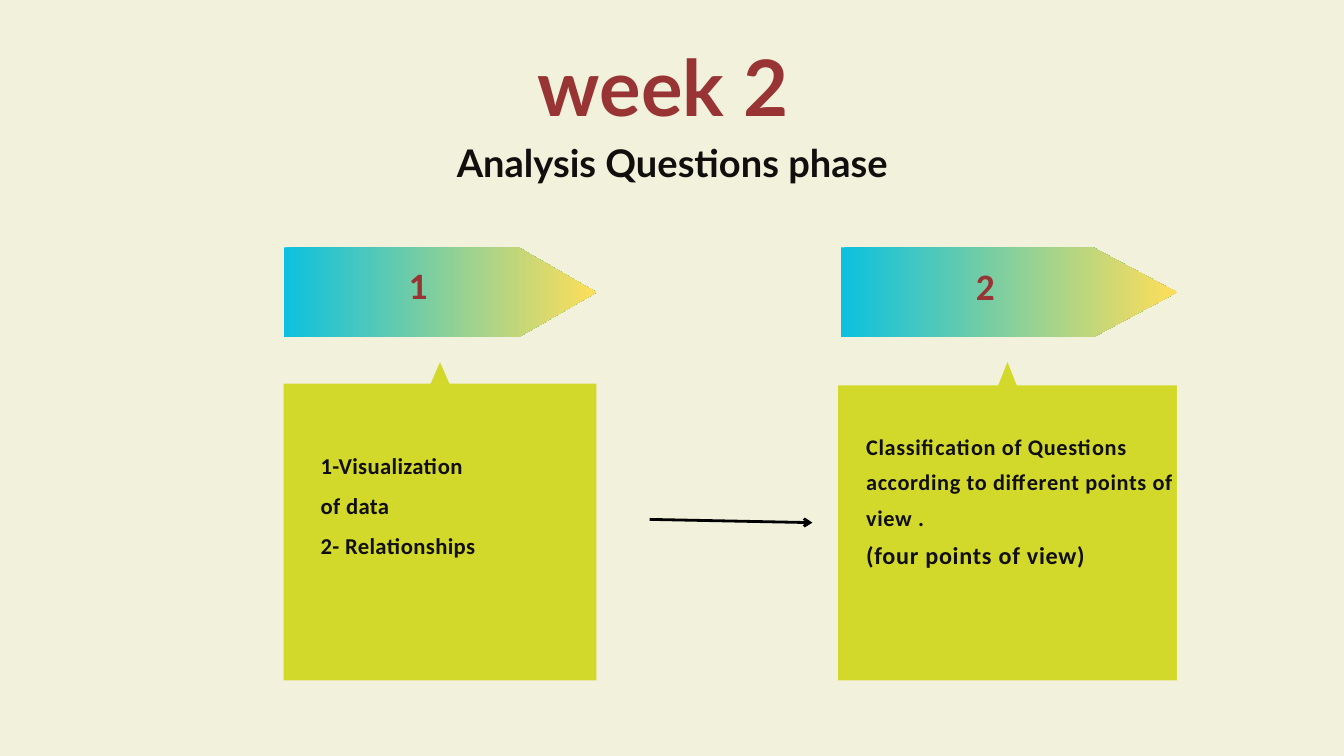
from lxml import etree
from pptx import Presentation
from pptx.dml.color import RGBColor
from pptx.enum.shapes import MSO_CONNECTOR, MSO_SHAPE
from pptx.enum.text import MSO_ANCHOR, MSO_AUTO_SIZE, PP_ALIGN
from pptx.oxml.ns import qn
from pptx.util import Pt

CENTER, LEFT = PP_ALIGN.CENTER, PP_ALIGN.LEFT
TOP, MIDDLE = MSO_ANCHOR.TOP, MSO_ANCHOR.MIDDLE
PENTAGON, STRAIGHT = MSO_SHAPE.PENTAGON, MSO_CONNECTOR.STRAIGHT
NO_AUTOFIT = MSO_AUTO_SIZE.NONE

CREAM, RED, INK, LIME = "F2F1DC", "993434", "100F0D", "D3D92B"
BLUE, YELLOW, BLACK = "0CC0DF", "FFDE59", "000000"

# Content: each line is (text, size, line spacing, letter spacing, font, colour)
HEADING = [
    ("week 2 ", 83.3, 116.7, 0, "Lato", RED),
    ("Analysis Questions phase", 40.8, 57.1, 0, "Lato", INK),
]
HEADING_BOX = (389, 24.5, 663, 173)

# Boxes are (left, top, width, height) in points
STEPS = [
    {
        "number": "1",
        "banner": (304, 265, 335, 96.5), "point": 83.5,
        "number_box": (304, 240.5, 288, 121),
        "card": (304, 411, 335, 318),
        "body_box": (343.5, 470, 227, 125),
        "body": [(text, 24.3, 43, 0.4, "Calibri", INK) for text in
                 ("1-Visualization", "of data", "2- Relationships")],
    },
    {
        "number": "2",
        "banner": (901, 265, 360, 96.5), "point": 90,
        "number_box": (901, 242.5, 309.5, 119.5),
        "card": (898, 413, 363, 316),
        "body_box": (928, 454.5, 333.5, 191),
        "body": [
            ("Classification of Questions according to different points of view .",
             23.9, 38, 0.7, "Calibri", INK),
            ("(four points of view)", 25.9, 41.2, 0.8, "Calibri", INK),
        ],
    },
]
TIP_TOP, TIP_HALF = 388, 10
ARROW = (696, 556.5, 870.5, 560)


def color(hex_code):
    return RGBColor.from_string(hex_code)


def place(shape, box):
    shape.left, shape.top, shape.width, shape.height = map(Pt, box)


def write(shape, lines, align=LEFT, anchor=TOP, inset=0):
    frame = shape.text_frame
    frame.word_wrap, frame.auto_size = True, NO_AUTOFIT
    frame.vertical_anchor = anchor
    frame.margin_left = frame.margin_right = Pt(inset)
    frame.margin_top = frame.margin_bottom = Pt(inset)
    frame.text = "\n".join(line[0] for line in lines)
    for paragraph, line in zip(frame.paragraphs, lines):
        _, size, leading, tracking, font_name, hex_code = line
        paragraph.alignment = align
        paragraph.line_spacing = Pt(leading)
        paragraph.space_before = paragraph.space_after = Pt(0)
        properties = paragraph._p.get_or_add_pPr()
        properties.set("marL", "0")
        properties.set("indent", "0")
        etree.SubElement(properties, qn("a:buNone"))
        for run in paragraph.runs:
            font = run.font
            font.name, font.size, font.bold = font_name, Pt(size), True
            font.color.rgb = color(hex_code)
            run._r.get_or_add_rPr().set("spc", str(round(tracking * 100)))


def add_banner(shapes, step):
    banner = shapes.add_shape(PENTAGON, *map(Pt, step["banner"]))
    banner.adjustments[0] = step["point"] / step["banner"][3]
    banner.shadow.inherit = False
    banner.line.fill.background()
    banner.fill.gradient()
    banner.fill.gradient_angle = 0
    for stop, hex_code in zip(banner.fill.gradient_stops, (BLUE, YELLOW)):
        stop.color.rgb = color(hex_code)
    number = shapes.add_textbox(*map(Pt, step["number_box"]))
    write(number, [(step["number"], 40, 56, 1.2, "Calibri", RED)],
          CENTER, MIDDLE, 4)


def add_card(shapes, box):
    left, top, width, height = box
    right, bottom, middle = left + width, top + height, left + width / 2
    outline = [(left, top), (middle - TIP_HALF, top), (middle, TIP_TOP),
               (middle + TIP_HALF, top), (right, top), (right, bottom),
               (left, bottom)]
    corners = [(Pt(x), Pt(y)) for x, y in outline]
    builder = shapes.build_freeform(*corners[0])
    builder.add_line_segments(corners[1:], close=True)
    card = builder.convert_to_shape()
    card.shadow.inherit = False
    card.line.fill.background()
    card.fill.solid()
    card.fill.fore_color.rgb = color(LIME)


def add_arrow(shapes, ends):
    arrow = shapes.add_connector(STRAIGHT, *map(Pt, ends))
    arrow.line.width = Pt(3)
    arrow.line.color.rgb = color(BLACK)
    etree.SubElement(arrow.line._get_or_add_ln(), qn("a:tailEnd"), type="arrow")
    etree.SubElement(arrow._element.spPr, qn("a:effectLst"))


def main():
    deck = Presentation()
    deck.slide_width, deck.slide_height = Pt(1440), Pt(810)
    slide = deck.slides.add_slide(deck.slide_layouts.get_by_name("Two Content"))
    slide.background.fill.solid()
    slide.background.fill.fore_color.rgb = color(CREAM)
    shapes = slide.shapes
    title, *bodies = list(slide.placeholders)[:3]

    # Banners and cards
    for step in STEPS:
        add_banner(shapes, step)
    for step in STEPS:
        add_card(shapes, step["card"])

    # Card texts and heading, brought in front of the cards
    texts = [(body, step["body_box"], step["body"], LEFT)
             for body, step in zip(bodies, STEPS)]
    texts.append((title, HEADING_BOX, HEADING, CENTER))
    for holder, box, lines, align in texts:
        place(holder, box)
        write(holder, lines, align)
        shapes._spTree.append(holder._element)

    # Arrow between the cards
    add_arrow(shapes, ARROW)
    deck.save("out.pptx")


if __name__ == "__main__":
    main()
